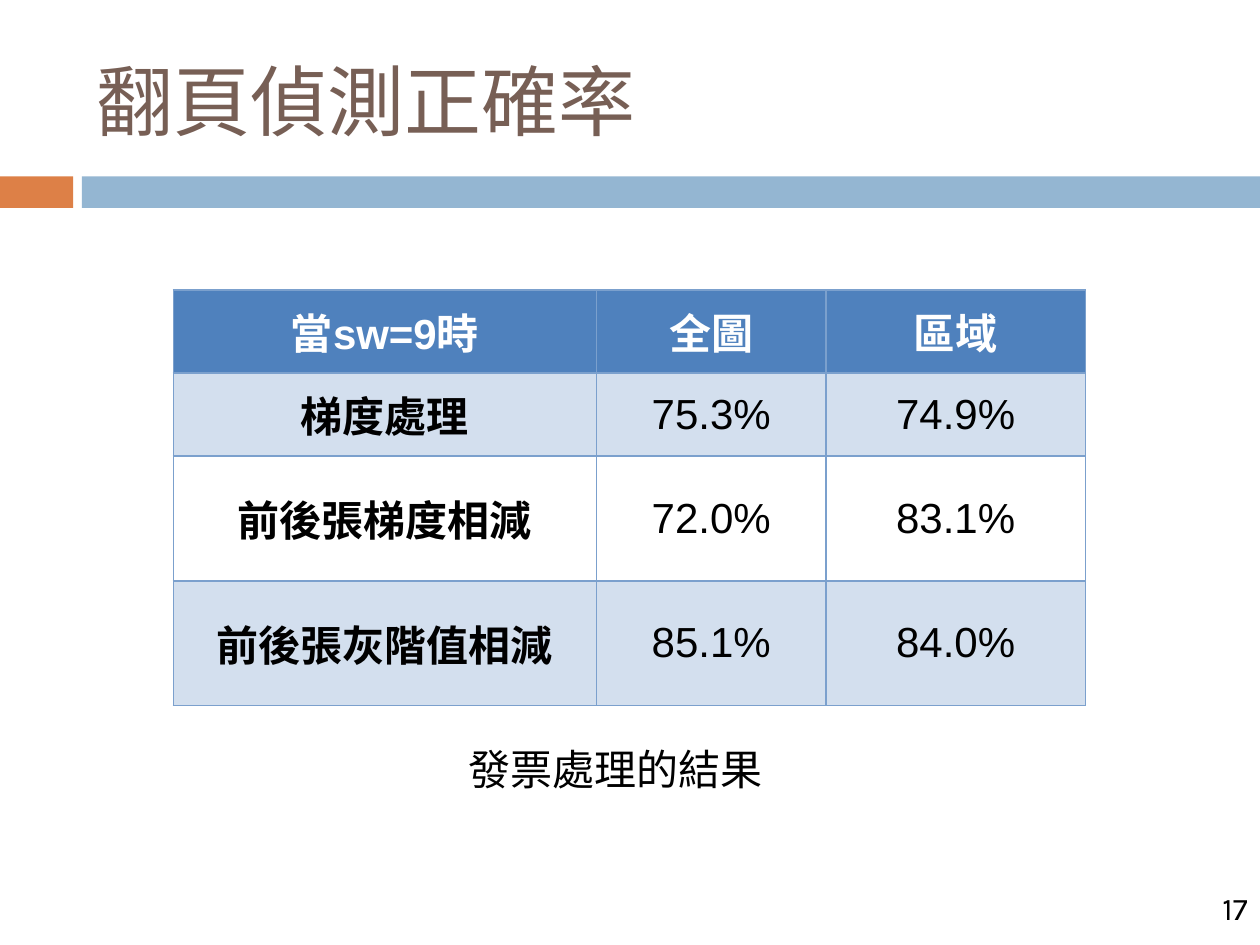
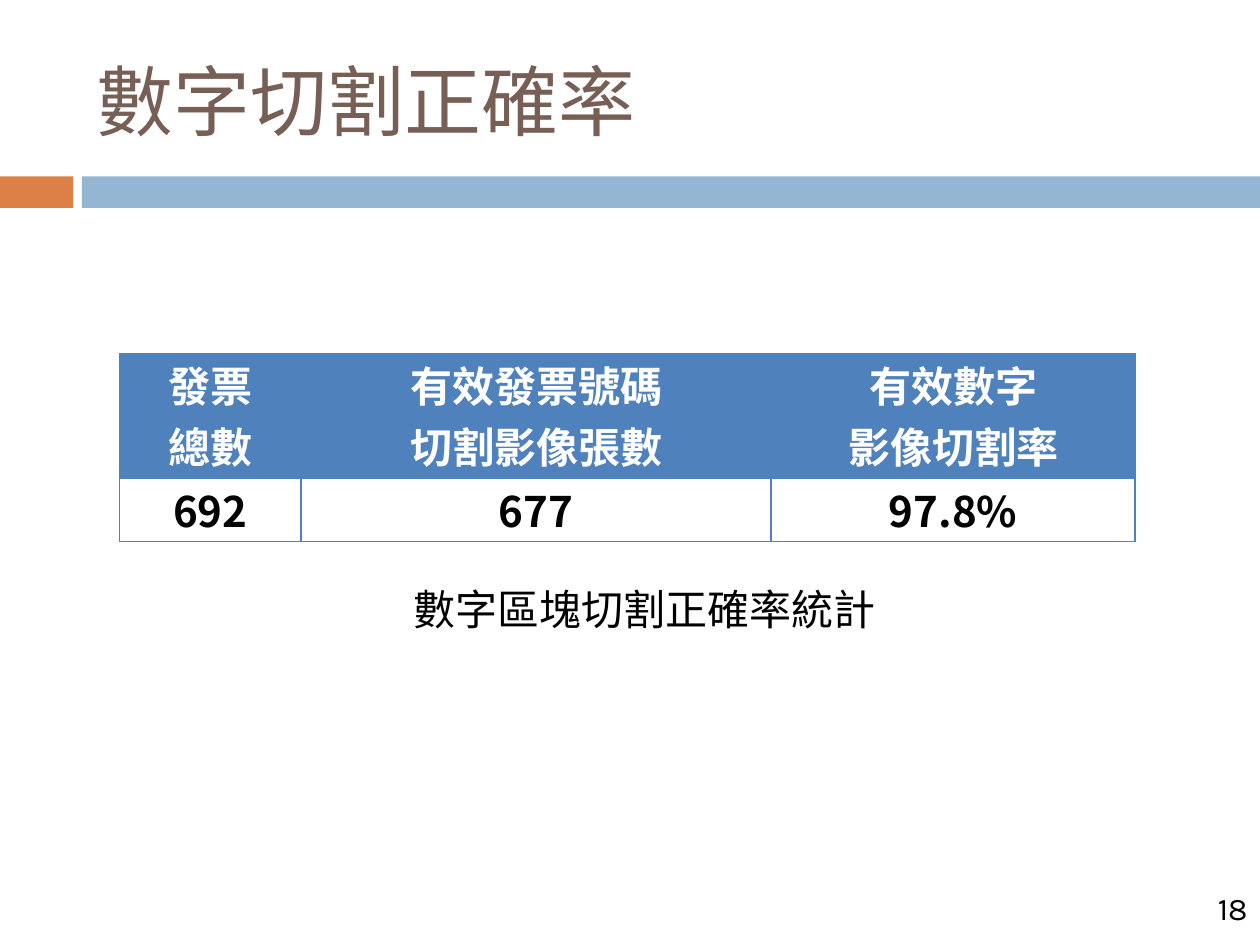
from lxml import etree
from pptx import Presentation
from pptx.dml.color import RGBColor
from pptx.enum.shapes import MSO_SHAPE
from pptx.enum.text import MSO_ANCHOR, PP_ALIGN
from pptx.oxml.ns import qn
from pptx.util import Inches, Pt

RECTANGLE = MSO_SHAPE.RECTANGLE
TOP, MIDDLE = MSO_ANCHOR.TOP, MSO_ANCHOR.MIDDLE
LEFT, CENTER, RIGHT = PP_ALIGN.LEFT, PP_ALIGN.CENTER, PP_ALIGN.RIGHT

ORANGE = RGBColor(0xDD, 0x80, 0x47)
SKY = RGBColor(0x94, 0xB6, 0xD2)
BROWN = RGBColor(0x77, 0x5F, 0x55)
BLUE = RGBColor(0x4F, 0x81, 0xBD)
PALE_BLUE = RGBColor(0xD3, 0xDF, 0xEE)
RULE_BLUE = RGBColor(0x7B, 0xA0, 0xCD)
BLACK = RGBColor(0, 0, 0)
WHITE = RGBColor(0xFF, 0xFF, 0xFF)
CJK_FONT = "Noto Sans CJK SC"

deck = Presentation()
deck.slide_width, deck.slide_height = Inches(10), Inches(7.5)
COLUMN = deck.slide_width / 100
ROW = deck.slide_height / 75

BANDS = [(0, 5.8, ORANGE), (6.5, 93.5, SKY)]
PAGES = [
    {
        "title": "翻頁偵測正確率",
        "number": "17",
        "origin": (13.75, 23),
        "widths": [33.6, 18.2, 20.6],
        "heights": [6.6, 6.6, 9.9, 9.9],
        "results": [
            ["當sw=9時", "全圖", "區域"],
            ["梯度處理", "75.3%", "74.9%"],
            ["前後張梯度相減", "72.0%", "83.1%"],
            ["前後張灰階值相減", "85.1%", "84.0%"],
        ],
        "font": "Arial",
        "anchor": MIDDLE,
        "rule": RULE_BLUE,
        "banded": True,
        "bold_columns": 1,
        "caption": "發票處理的結果",
        "caption_box": (36.2, 58.5, 25.6, 5),
    },
    {
        "title": "數字切割正確率",
        "number": "18",
        "origin": (9.5, 28.1),
        "widths": [14.4, 37.3, 28.9],
        "heights": [9.9, 5],
        "results": [
            ["發票\n總數", "有效發票號碼\n切割影像張數", "有效數字\n影像切割率"],
            ["692", "677", "97.8%"],
        ],
        "font": CJK_FONT,
        "anchor": TOP,
        "rule": BLUE,
        "banded": False,
        "bold_columns": 3,
        "caption": "數字區塊切割正確率統計",
        "caption_box": (31.8, 45.8, 39.2, 5),
    },
]


def write(frame, text, size, font, color, align=LEFT, bold=False):
    for index, line in enumerate(text.split("\n")):
        paragraph = frame.add_paragraph() if index else frame.paragraphs[0]
        paragraph.alignment = align
        run = paragraph.add_run()
        run.text = line
        run.font.size = Pt(size)
        run.font.name = font
        run.font.bold = bold
        run.font.color.rgb = color
        east_asian = etree.Element(qn("a:ea"), typeface=CJK_FONT)
        run.font._rPr.find(qn("a:latin")).addnext(east_asian)


def place(left, top, width, height):
    return [round(n) for n in (left * COLUMN, top * ROW, width * COLUMN, height * ROW)]


for page in PAGES:
    slide = deck.slides.add_slide(deck.slide_layouts[6])

    for left, width, color in BANDS:
        band = slide.shapes.add_shape(RECTANGLE, *place(left, 14, width, 2.5))
        band.shadow.inherit = False
        band.fill.solid()
        band.fill.fore_color.rgb = color
        band.line.fill.background()

    page_number = slide.shapes.add_textbox(*place(90.8, 70.1, 9.2, 4.2)).text_frame
    page_number.word_wrap = True
    write(page_number, page["number"], 18, "Karla", BLACK, RIGHT)

    title = slide.shapes.add_textbox(*place(6.7, 2.5, 89.2, 10.8)).text_frame
    title.word_wrap = True
    title.vertical_anchor = MIDDLE
    write(title, page["title"], 44, "Cabin", BROWN)

    widths, heights = page["widths"], page["heights"]
    table = slide.shapes.add_table(
        len(heights), len(widths), *place(*page["origin"], sum(widths), sum(heights))
    ).table
    for column, width in zip(table.columns, widths):
        column.width = round(width * COLUMN)
    for row, height in zip(table.rows, heights):
        row.height = round(height * ROW)

    for r, values in enumerate(page["results"]):
        for c, value in enumerate(values):
            cell = table.cell(r, c)
            cell.margin_left = cell.margin_right = round(0.75 * COLUMN)
            cell.margin_top = cell.margin_bottom = 0
            cell.vertical_anchor = page["anchor"]
            for side in ("a:lnL", "a:lnR", "a:lnT", "a:lnB"):
                edge = etree.SubElement(cell._tc.tcPr, qn(side), w=str(Pt(1)))
                paint = etree.SubElement(edge, qn("a:solidFill"))
                etree.SubElement(paint, qn("a:srgbClr"), val=str(page["rule"]))
            if r == 0 or (page["banded"] and r % 2):
                cell.fill.solid()
                cell.fill.fore_color.rgb = PALE_BLUE if r else BLUE
            else:
                cell.fill.background()
            bold = r == 0 or c < page["bold_columns"]
            write(cell.text_frame, value, 24, page["font"], BLACK if r else WHITE, CENTER, bold)

    caption = slide.shapes.add_textbox(*place(*page["caption_box"])).text_frame
    caption.word_wrap = False
    write(caption, page["caption"], 24, CJK_FONT, BLACK)

deck.save("out.pptx")
